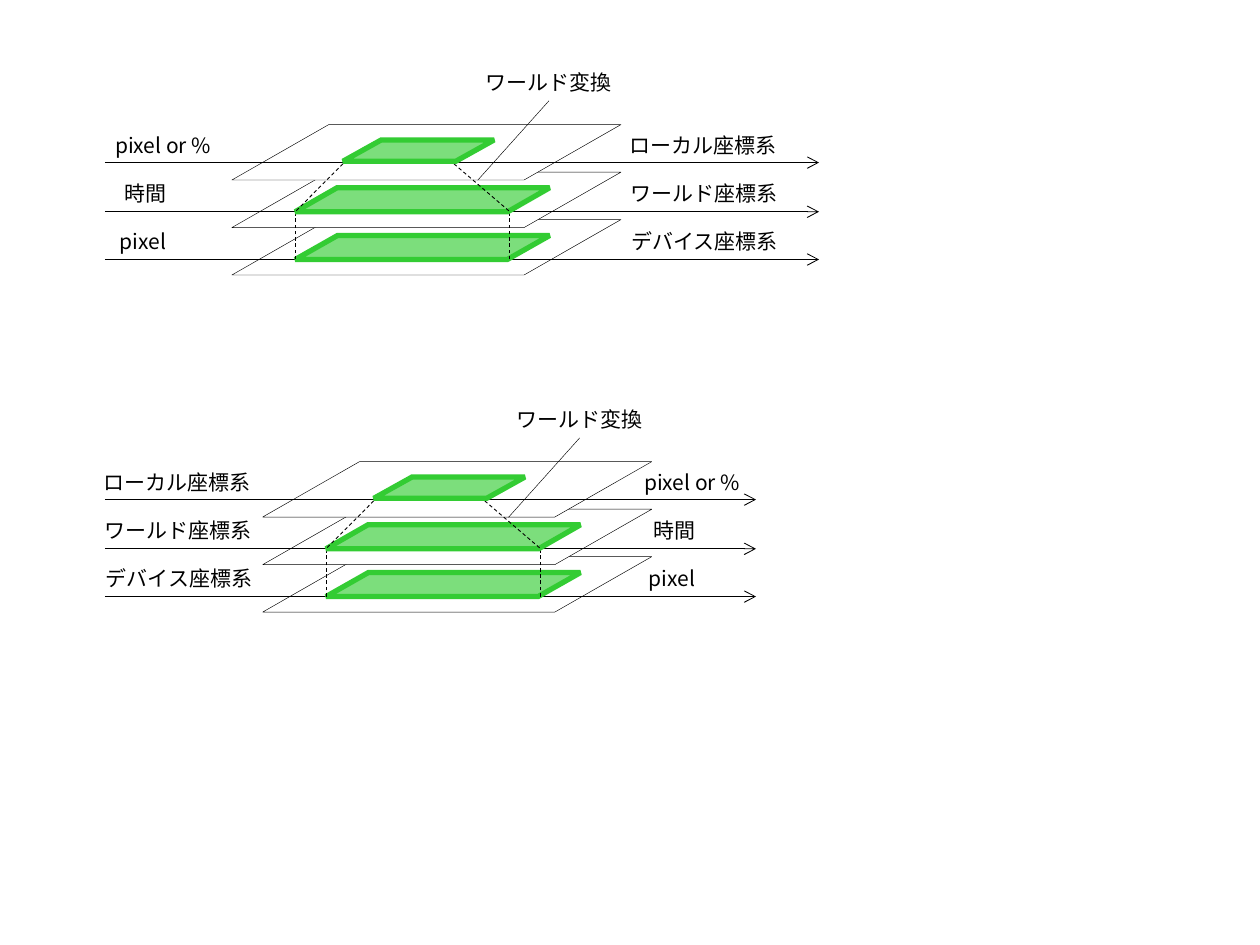
import pptx
import pptx.dml.color
import pptx.enum.dml
import pptx.enum.shapes
import pptx.enum.text
import pptx.oxml.ns
import pptx.util
from lxml import etree

Pt = pptx.util.Pt
qn = pptx.oxml.ns.qn
COLORS = {"ink": "000000", "paper": "FFFFFF", "green": "33CC33"}
FONT = "Noto Sans CJK JP"


def rgb(name):
    return pptx.dml.color.RGBColor.from_string(COLORS[name])


class Diagram:
    """Style, current slide and the offset of the diagram being drawn."""

    def __init__(self, s, dx, dy):
        self.s, self.dx, self.dy = s, dx, dy

    def at(self, x, y):
        return Pt(x + self.dx), Pt(y + self.dy)

    def plane(self, x, y, w, h, skew, color="paper", edge="ink", weight=0.25, alpha=None):
        sp = self.s.shapes.add_shape(pptx.enum.shapes.MSO_SHAPE.PARALLELOGRAM,
                                     *self.at(x, y), Pt(w), Pt(h))
        sp.shadow.inherit = False
        sp.adjustments[0] = skew
        sp.fill.solid()
        sp.fill.fore_color.rgb = rgb(color)
        sp.line.color.rgb = rgb(edge)
        sp.line.width = Pt(weight)
        etree.SubElement(sp.line._get_or_add_ln(), qn("a:miter"), lim="800000")
        if alpha:
            clr = sp.fill._xPr.find(qn("a:solidFill"))[0]
            etree.SubElement(clr, qn("a:alpha"), val=str(alpha * 1000))

    def area(self, x, y, w, h, skew):
        self.plane(x, y, w, h, skew, "green", "green", 3, 64)

    def line(self, start, end, weight=0.5, dash=False, arrow=False, shapes=None):
        c = (shapes or self.s.shapes).add_connector(
            pptx.enum.shapes.MSO_CONNECTOR.STRAIGHT, *self.at(*start), *self.at(*end))
        c.line.color.rgb = rgb("ink")
        c.line.width = Pt(weight)
        if dash:
            c.line.dash_style = pptx.enum.dml.MSO_LINE.DASH
        if arrow:
            etree.SubElement(c.line._get_or_add_ln(), qn("a:tailEnd"), type="arrow")
        etree.SubElement(c._element.spPr, qn("a:effectLst"))

    def label(self, text, x, y, w):
        tf = self.s.shapes.add_textbox(*self.at(x, y), Pt(w), Pt(21.6)).text_frame
        tf.word_wrap = False
        tf.auto_size = pptx.enum.text.MSO_AUTO_SIZE.SHAPE_TO_FIT_TEXT
        r = tf.paragraphs[0].add_run()
        r.text = text
        r.font.size = Pt(12)
        r.font.name = FONT
        r.font.color.rgb = rgb("ink")
        etree.SubElement(r.font._element, qn("a:ea"), typeface=FONT)

    def draw(self, arrow_end, columns):
        # Planes, from device up to local
        for y in (125.5, 98.4, 71.2):
            self.plane(132.5, y, 222.4, 31.7, 1.749)

        # Axes
        left, right = 60 - self.dx, arrow_end - self.dx
        axes = self.s.shapes.add_group_shape().shapes
        for y in (148.3, 92.9, 121):
            self.line((left, y), (right, y), arrow=True, shapes=axes)

        # Mapped areas and their projection lines
        self.area(168.7, 134.6, 145.4, 13.7, 1.765)
        for x in (168.7, 291.4):
            self.line((x, 148.3), (x, 121), dash=True)
        self.area(168.7, 107.3, 145.4, 13.7, 1.746)
        self.line((273, 103), (313.7, 57.6), weight=0.25)
        for top, bottom in ((259.4, 291.4), (196, 168.7)):
            self.line((top, 93.6), (bottom, 121), dash=True)
        self.area(196, 80, 86.4, 12.2, 1.796)

        # Labels
        self.label("ワールド変換", 270.4, 36.2, 88)
        for column in columns:
            for i, (text, x, w) in enumerate(column):
                self.label(text, x - self.dx, 72.2 + 27.4 * i, w)


def systems(x):
    names = ("ローカル座標系", "ワールド座標系", "デバイス座標系")
    return [(name, x + 0.7 * i, 100) for i, name in enumerate(names)]


def units(x):
    return [("pixel or %", x, 72), ("時間", x + 5.4, 39), ("pixel", x + 2.7, 43)]


def main():
    prs = pptx.Presentation()
    prs.slide_width, prs.slide_height = Pt(720), Pt(540)
    s = prs.slides.add_slide(prs.slide_layouts[6])
    # Units on the left, systems on the right; then the reverse
    Diagram(s, 0, 0).draw(468, (units(58.7), systems(352.5)))
    Diagram(s, 17.6, 192.6).draw(432, (systems(52), units(361)))
    prs.save("out.pptx")


if __name__ == "__main__":
    main()
